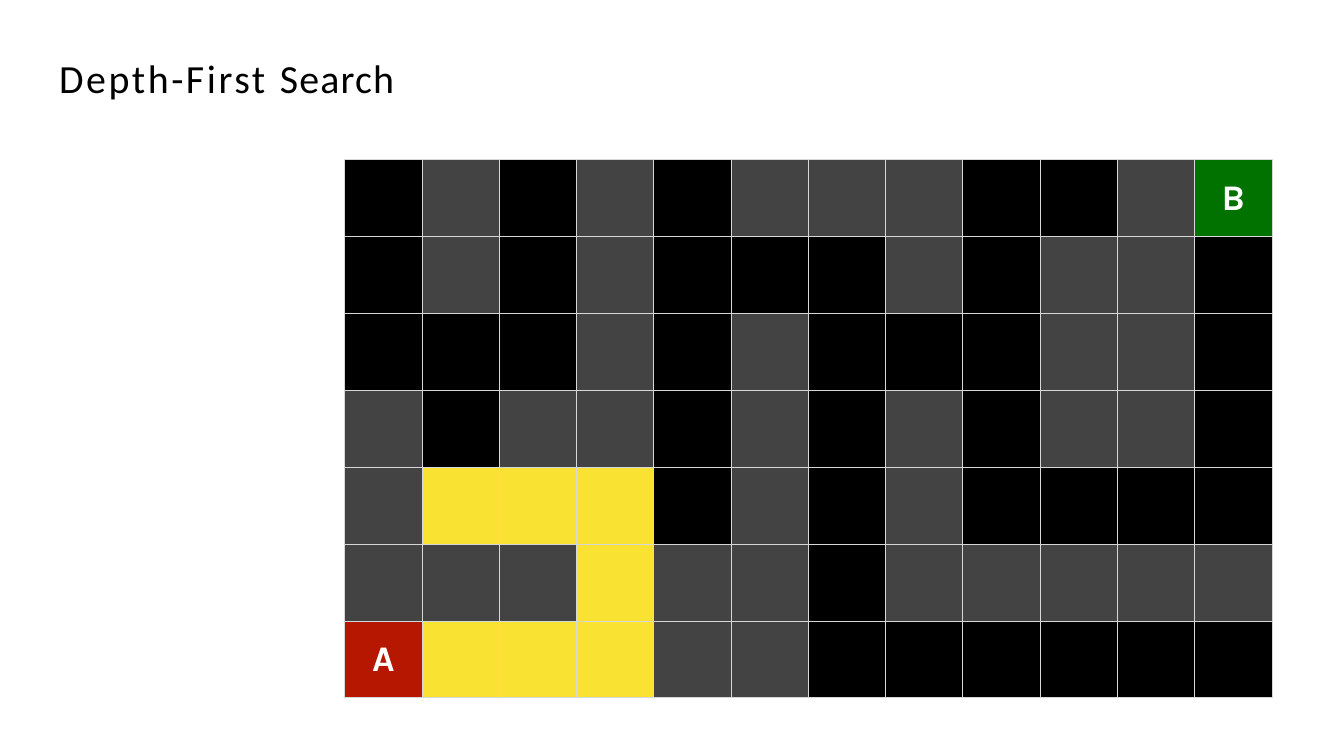
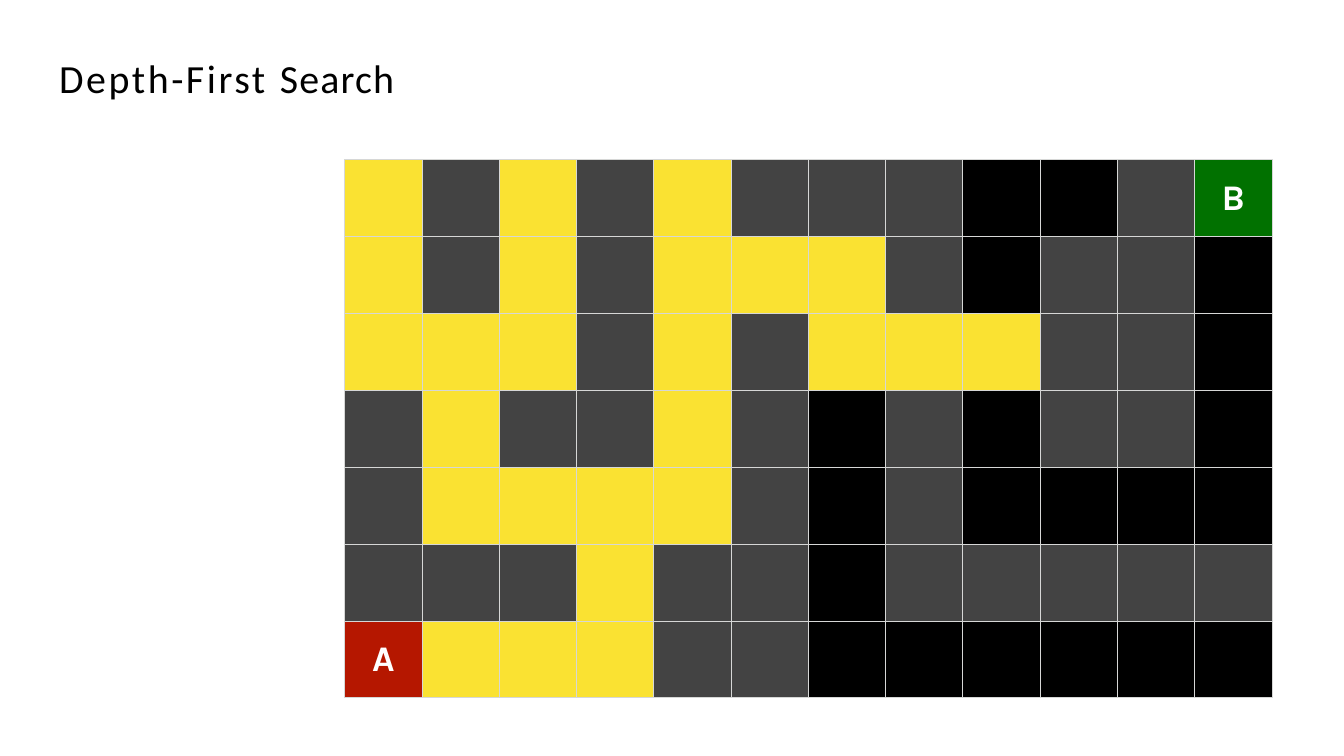
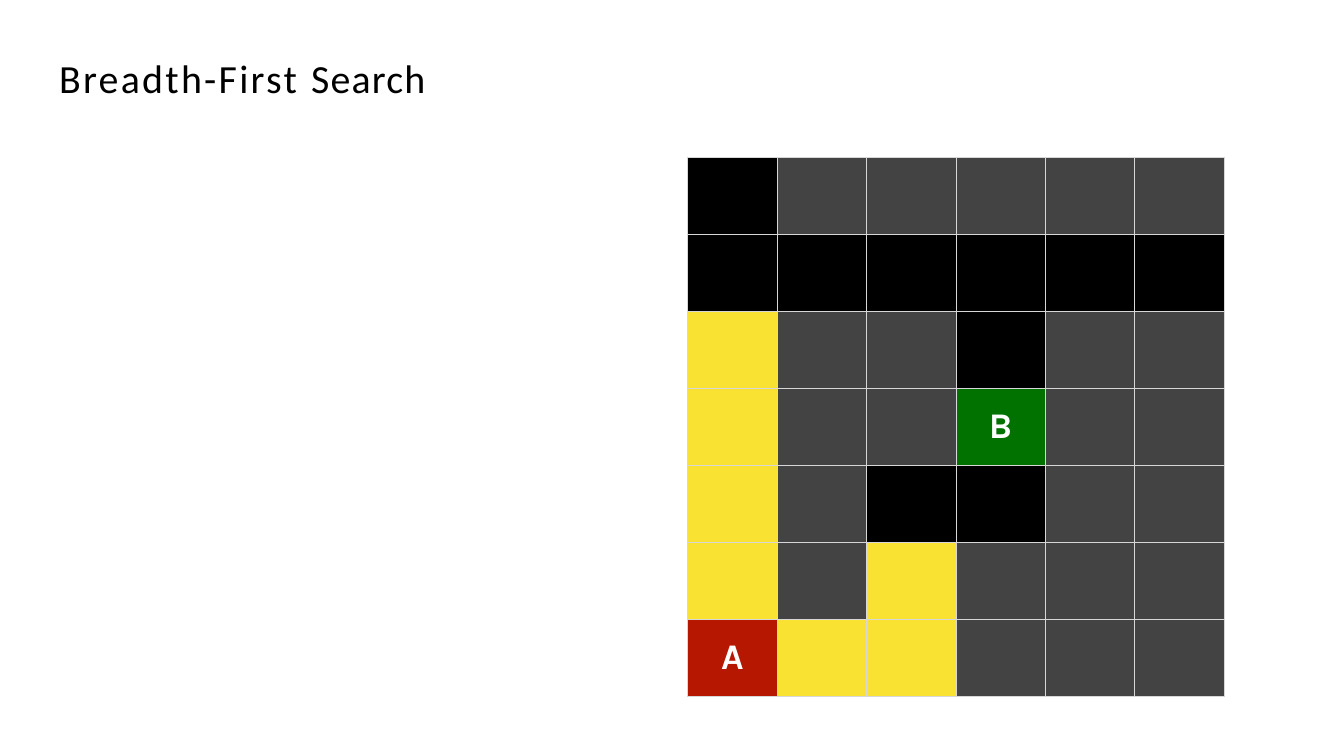
from lxml.etree import SubElement
from pptx import Presentation
from pptx.dml.color import RGBColor as RGB
from pptx.enum.text import MSO_ANCHOR as ANCHOR, MSO_AUTO_SIZE as FIT, PP_ALIGN as ALIGN
from pptx.oxml.ns import qn
from pptx.util import Inches, Pt

COLORS = {"open": "000000", "wall": "434343", "explored": "FAE232", "start": "B51700",
          "goal": "017100", "border": "D6D7D6", "title": "000000", "letter": "FFFFFF"}
KINDS = {".": "open", "#": "wall", "*": "explored", "A": "start", "B": "goal"}
TITLE_FONT = {"name": "Calibri", "size": Pt(47), "bold": False}
LETTER_FONT = {"name": "Karla", "size": Pt(42.5), "bold": True}
NO_MARGINS = {"margin_left": 0, "margin_top": 0, "margin_right": 0, "margin_bottom": 0,
              "vertical_anchor": ANCHOR.MIDDLE}

# Boxes are left, top, width, height in percent of the slide.
WIDE_MAZE = (25.65, 21.1, 68.99, 71.22)
SQUARE_MAZE = (51.16, 20.86, 39.93, 71.22)
TITLE_TOP, TITLE_HEIGHT, TITLE_LEFT = 6.95, 6.55, 4.4

# First title word, its letter spacing, title width, maze box, maze rows.
SLIDES = [
    ("Depth-First ", 300, 27.74, WIDE_MAZE, [
        ".#.#.###..#B",
        ".#.#...#.##.",
        "...#.#...##.",
        "#.##.#.#.##.",
        "#***.#.#....",
        "###*##.#####",
        "A***##......"]),
    ("Depth-First ", 300, 27.74, WIDE_MAZE, [
        "*#*#*###..#B",
        "*#*#***#.##.",
        "***#*#***##.",
        "#*##*#.#.##.",
        "#****#.#....",
        "###*##.#####",
        "A***##......"]),
    ("Breadth-First ", 270, 30.38, SQUARE_MAZE, [
        ".#####",
        "......",
        "*##.##",
        "*##B##",
        "*#..##",
        "*#*###",
        "A**###"]),
]

prs = Presentation()
prs.slide_width, prs.slide_height = Inches(21.99), Inches(12.37)


def place(box):
    """Turn a box in percent of the slide into lengths."""
    sides = (prs.slide_width, prs.slide_height) * 2
    return [round(side * share / 100) for side, share in zip(sides, box)]


def add_run(p, text, font, color):
    r = p.add_run()
    r.text = text
    for key, value in font.items():
        setattr(r.font, key, value)
    r.font.color.rgb = RGB.from_string(COLORS[color])
    return r


for first_word, spacing, title_width, maze_box, maze in SLIDES:
    s = prs.slides.add_slide(prs.slide_layouts[5])

    title = s.shapes.title
    title.left, title.top, title.width, title.height = place(
        (TITLE_LEFT, TITLE_TOP, title_width, TITLE_HEIGHT))
    tf = title.text_frame
    for key, value in NO_MARGINS.items():
        setattr(tf, key, value)
    tf.word_wrap = True
    tf.auto_size = FIT.SHAPE_TO_FIT_TEXT
    p = tf.paragraphs[0]
    p.alignment = ALIGN.LEFT
    for word, gap in ((first_word, spacing), ("Search", 140)):
        r = add_run(p, word, TITLE_FONT, "title")
        r.font._element.set("spc", str(gap))

    table = s.shapes.add_table(len(maze), len(maze[0]), *place(maze_box)).table
    table.first_row = table.horz_banding = False
    for i, row in enumerate(maze):
        for j, mark in enumerate(row):
            cell = table.cell(i, j)
            for key, value in NO_MARGINS.items():
                setattr(cell, key, value)
            tcPr = cell._tc.get_or_add_tcPr()
            for side in ("lnL", "lnR", "lnT", "lnB"):
                ln = SubElement(tcPr, qn(f"a:{side}"), w=str(Pt(1)))
                fill = SubElement(ln, qn("a:solidFill"))
                SubElement(fill, qn("a:srgbClr"), val=COLORS["border"])
            cell.fill.solid()
            cell.fill.fore_color.rgb = RGB.from_string(COLORS[KINDS[mark]])
            if mark in "AB":
                p = cell.text_frame.paragraphs[0]
                p.alignment = ALIGN.CENTER
                add_run(p, mark, LETTER_FONT, "letter")

prs.save("out.pptx")
